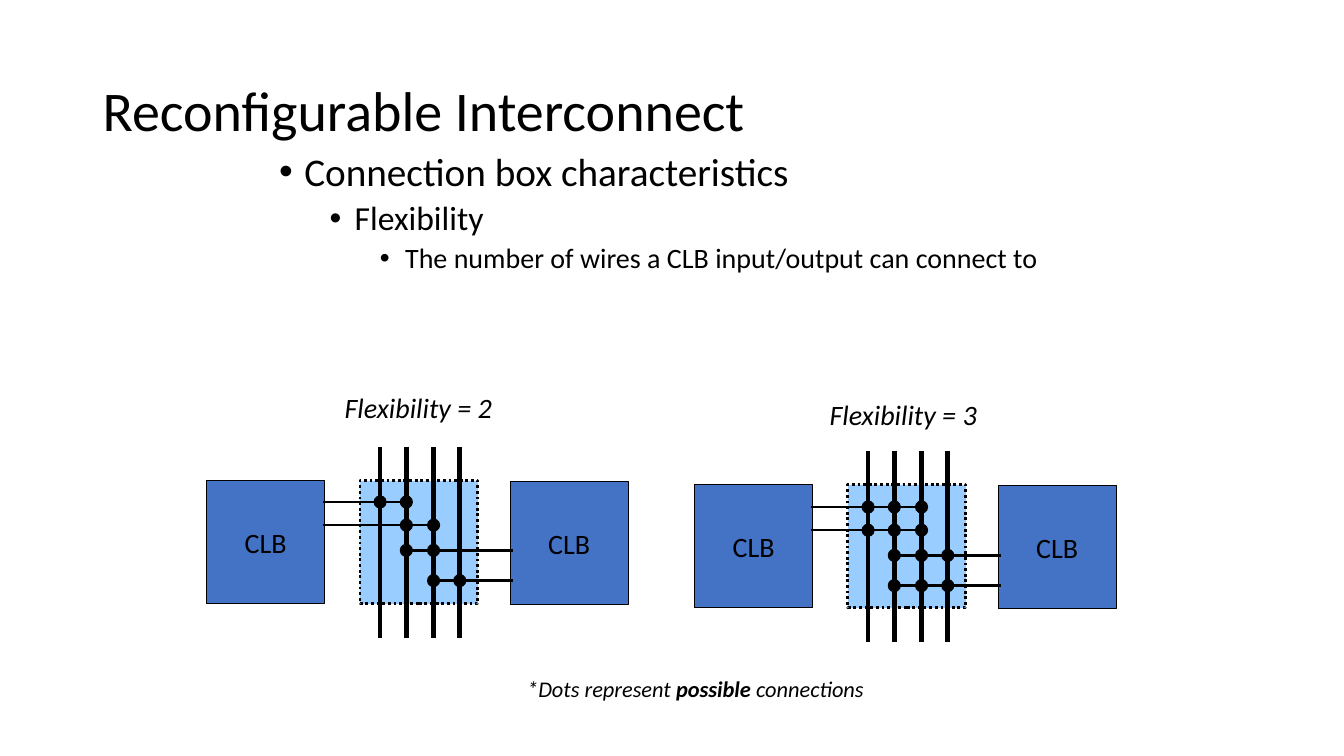
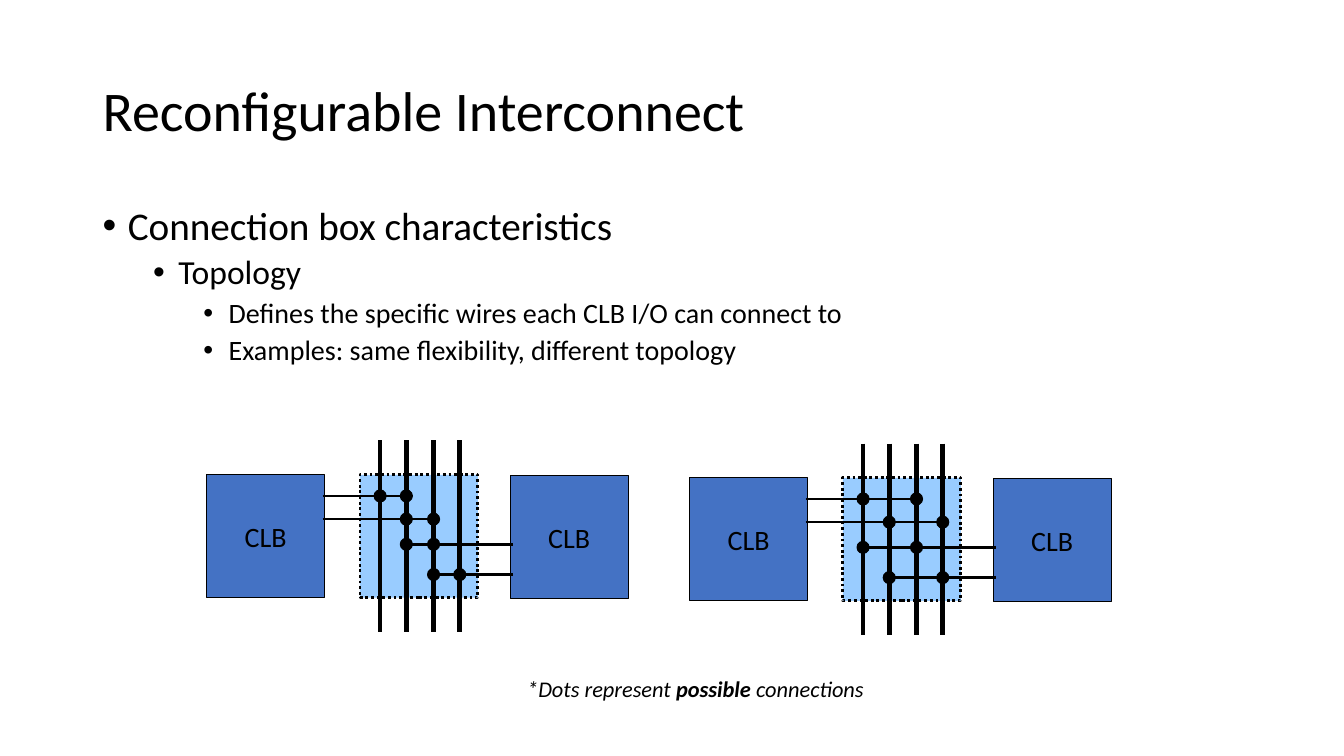
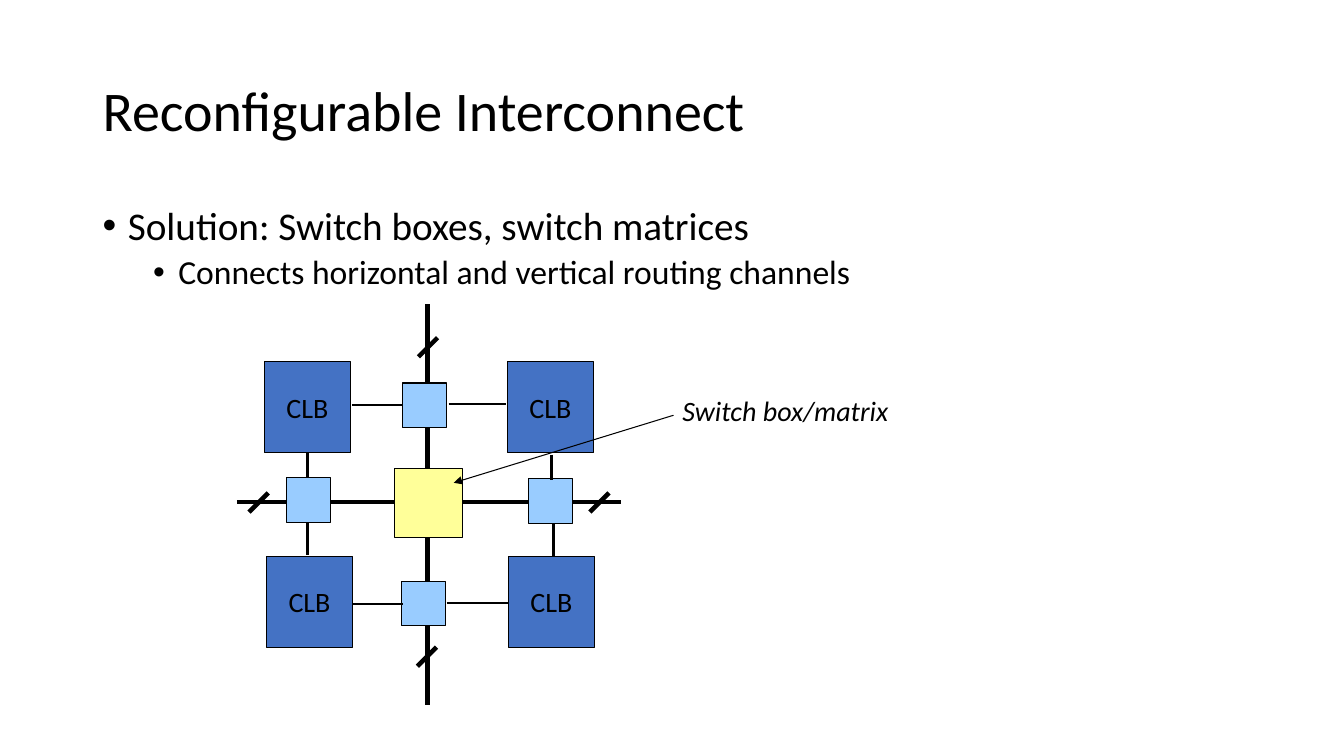
from lxml import etree
from pptx import Presentation
from pptx.dml.color import RGBColor
from pptx.enum.dml import MSO_LINE
from pptx.enum.shapes import MSO_CONNECTOR, MSO_SHAPE as Kind
from pptx.enum.text import MSO_ANCHOR as Anchor, PP_ALIGN as Align
from pptx.oxml.ns import qn
from pptx.util import Inches, Pt

BLACK, BLUE, SKY, YELLOW = "000000", "4472C4", "99CCFF", "FFFF99"
FONT = "Calibri"
TITLE = "Reconfigurable Interconnect"
BODY = (0.92, 2, 11.5, 4.76)
LEVELS = [  # size, left indent, space before
    (28, 0.25, 10),
    (24, 0.75, 5),
    (20, 1.25, 5),
]
CLB_W, CLB_H = 1.17, 1.22
DOT = 0.12
ROWS = [0.21, 0.44, 0.69, 0.99]
WIRES = [1.72, 1.98, 2.25, 2.51]


def color(fmt, code):
    fmt.rgb = RGBColor.from_string(code)


def setup(obj, **values):
    for name, value in values.items():
        setattr(obj, name, value)


def style(font, size, **more):
    setup(font, name=FONT, size=Pt(size), **more)
    color(font.color, BLACK)


def stroke(line, width, dash=None):
    line.fill.solid()
    color(line.fill.fore_color, BLACK)
    setup(line, width=Pt(width), dash_style=dash)


def draw(slide, kind, x, y, w, h, fill, width=0.75, dash=None):
    shape = slide.shapes.add_shape(kind, *map(Inches, (x, y, w, h)))
    shape.shadow.inherit = False
    shape.fill.solid()
    color(shape.fill.fore_color, fill)
    stroke(shape.line, width, dash)
    return shape


def clb(slide, x, y, w, h):
    """Draw a labelled logic block."""
    frame = draw(slide, Kind.RECTANGLE, x, y, w, h, BLUE).text_frame
    setup(frame, word_wrap=False, vertical_anchor=Anchor.MIDDLE)
    para = frame.paragraphs[0]
    setup(para, text="CLB", alignment=Align.CENTER)
    style(para.font, 20)


def wire(slide, x1, y1, x2, y2, width, arrow=False):
    line = slide.shapes.add_connector(
        MSO_CONNECTOR.STRAIGHT, *map(Inches, (x1, y1, x2, y2)))
    stroke(line.line, width)
    if arrow:
        tail = etree.SubElement(line.line._get_or_add_ln(), qn("a:tailEnd"))
        tail.set("type", "triangle")
    etree.SubElement(line._element.spPr, qn("a:effectLst"))


def textbox(slide, x, y, w, h, anchor=Anchor.TOP):
    frame = slide.shapes.add_textbox(*map(Inches, (x, y, w, h))).text_frame
    setup(frame, word_wrap=True, vertical_anchor=anchor)
    return frame


def note(slide, x, y, w, h, size, *parts):
    """Write italic text; every second part is bold."""
    para = textbox(slide, x, y, w, h).paragraphs[0]
    for i, part in enumerate(parts):
        run = para.add_run()
        run.text = part
        style(run.font, size, italic=True, bold=i % 2 == 1)


def footnote(slide):
    note(slide, 5.13, 6.65, 5.31, 0.37, 16,
         "*Dots represent ", "possible", " connections")


def bullets(slide, box, items):
    """Write one bullet per item, each a level deeper down to the last."""
    frame = textbox(slide, *box)
    for i, text in enumerate(items):
        size, indent, gap = LEVELS[min(i, len(LEVELS) - 1)]
        para = frame.add_paragraph() if i else frame.paragraphs[0]
        props = para._p.get_or_add_pPr()
        props.set("marL", str(Inches(indent)))
        props.set("indent", str(Inches(-0.25)))
        etree.SubElement(props, qn("a:buFont")).set("typeface", "Arial")
        etree.SubElement(props, qn("a:buChar")).set("char", "•")
        setup(para, text=text, line_spacing=0.9, space_before=Pt(gap if i else 0))
        style(para.font, size)


def page(deck, items, box=BODY):
    """Add a slide with the shared title and its bullets."""
    slide = deck.slides.add_slide(deck.slide_layouts[6])
    para = textbox(slide, 0.92, 0.4, 11.5, 1.45, Anchor.MIDDLE).paragraphs[0]
    setup(para, text=TITLE, line_spacing=0.9)
    style(para.font, 40)
    bullets(slide, box, items)
    return slide


def circuit(slide, x, y, links, drop=0):
    """Draw two CLBs around a connection box; links lists the wires of each row."""
    clb(slide, x, y, CLB_W, CLB_H)
    clb(slide, x + 3.01, y + 0.01, CLB_W, CLB_H)
    draw(slide, Kind.RECTANGLE, x + 1.52, y, CLB_W, CLB_H, SKY, 2,
         MSO_LINE.ROUND_DOT)
    for dx in WIRES:
        wire(slide, x + dx, y - 0.34, x + dx, y + 1.56, 3.25)
    for i, (row, taps) in enumerate(zip(ROWS, links)):
        mid = y + row + drop
        spots = [x + WIRES[n] for n in taps]
        ends = (x + 1.15, spots[-1]) if i < 2 else (spots[0], x + 3.04)
        wire(slide, ends[0], mid, ends[1], mid, 1.75)
        for spot in spots:
            draw(slide, Kind.OVAL, spot - DOT / 2, mid - DOT / 2, DOT, DOT, BLACK)


def matrix(slide, x, y):
    """Draw four CLBs joined through a central switch box."""
    for dx, dy in [(0.27, 0.57), (2.68, 0.57), (0.29, 2.5), (2.69, 2.5)]:
        clb(slide, x + dx, y + dy, 0.86, 0.9)
    wire(slide, x, y + 1.96, x + 3.81, y + 1.96, 3)
    wire(slide, x + 1.89, y, x + 1.89, y + 3.97, 3)
    draw(slide, Kind.RECTANGLE, x + 1.56, y + 1.63, 0.68, 0.68, YELLOW)
    for dx, dy in [(1.64, 0.78), (1.63, 2.75), (2.89, 1.73), (0.49, 1.72)]:
        draw(slide, Kind.RECTANGLE, x + dx, y + dy, 0.44, 0.44, SKY)
    for dx, dy in [(1.8, 0.52), (1.79, 3.59), (3.5, 2.06), (0.12, 2.06)]:
        wire(slide, x + dx + 0.19, y + dy - 0.19, x + dx, y + dy, 3.25)
    for dx, top, end in [(0.7, 1.47, 1.72), (0.7, 2.16, 2.49),
                         (3.12, 1.49, 1.74), (3.14, 2.18, 2.5)]:
        wire(slide, x + dx, y + top, x + dx, y + end, 1.5)
    for dy, left, end in [(1, 1.14, 1.64), (0.99, 2.1, 2.67),
                          (2.97, 1.15, 1.65), (2.96, 2.08, 2.7)]:
        wire(slide, x + left, y + dy, x + end, y + dy, 1.5)
    note(slide, x + 4.32, y + 0.83, 2.45, 0.43, 20, "Switch box/matrix")
    wire(slide, x + 4.33, y + 1.1, x + 2.15, y + 1.77, 0.75, arrow=True)


def main():
    deck = Presentation()
    setup(deck, slide_width=Inches(13.33), slide_height=Inches(7.5))
    pairs = [(0, 1), (1, 2), (1, 2), (2, 3)]
    triples = [(0, 1, 2), (0, 1, 2), (1, 2, 3), (1, 2, 3)]
    spread = [(0, 2), (1, 3), (0, 2), (1, 3)]

    flex = page(deck, ["Connection box characteristics", "Flexibility",
                       "The number of wires a CLB input/output can connect to"],
                (2.67, 1.46, 8.5, 5.12))
    circuit(flex, 2.05, 4.77, pairs)
    circuit(flex, 6.89, 4.81, triples, 0.01)
    note(flex, 3.32, 3.82, 2.24, 0.43, 20, "Flexibility = 2")
    note(flex, 8.13, 3.89, 2.24, 0.43, 20, "Flexibility = 3")
    footnote(flex)

    topo = page(deck, ["Connection box characteristics", "Topology",
                       "Defines the specific wires each CLB I/O can connect to",
                       "Examples: same flexibility, different topology"])
    circuit(topo, 2.05, 4.71, pairs)
    circuit(topo, 6.84, 4.74, spread)
    footnote(topo)

    switch = page(deck, ["Solution: Switch boxes, switch matrices",
                         "Connects horizontal and vertical routing channels"])
    matrix(switch, 2.35, 3.02)
    deck.save("out.pptx")


if __name__ == "__main__":
    main()
